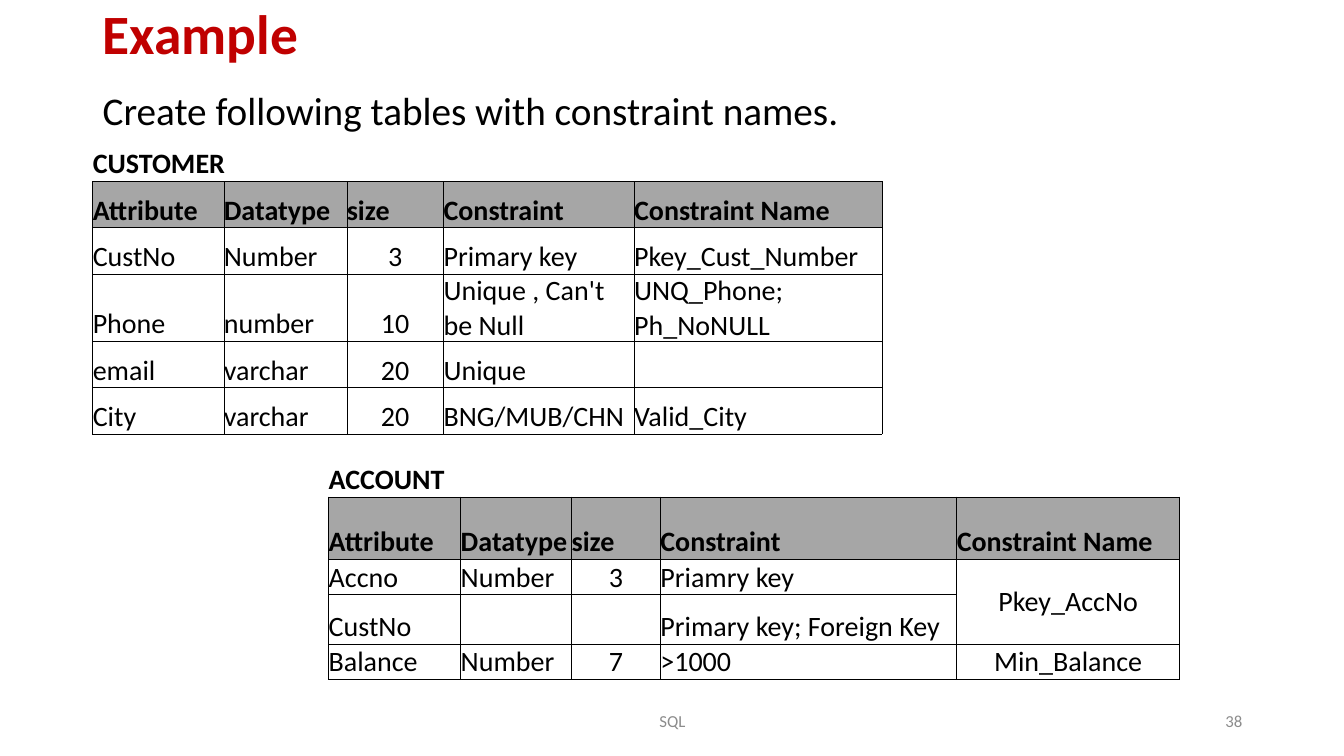
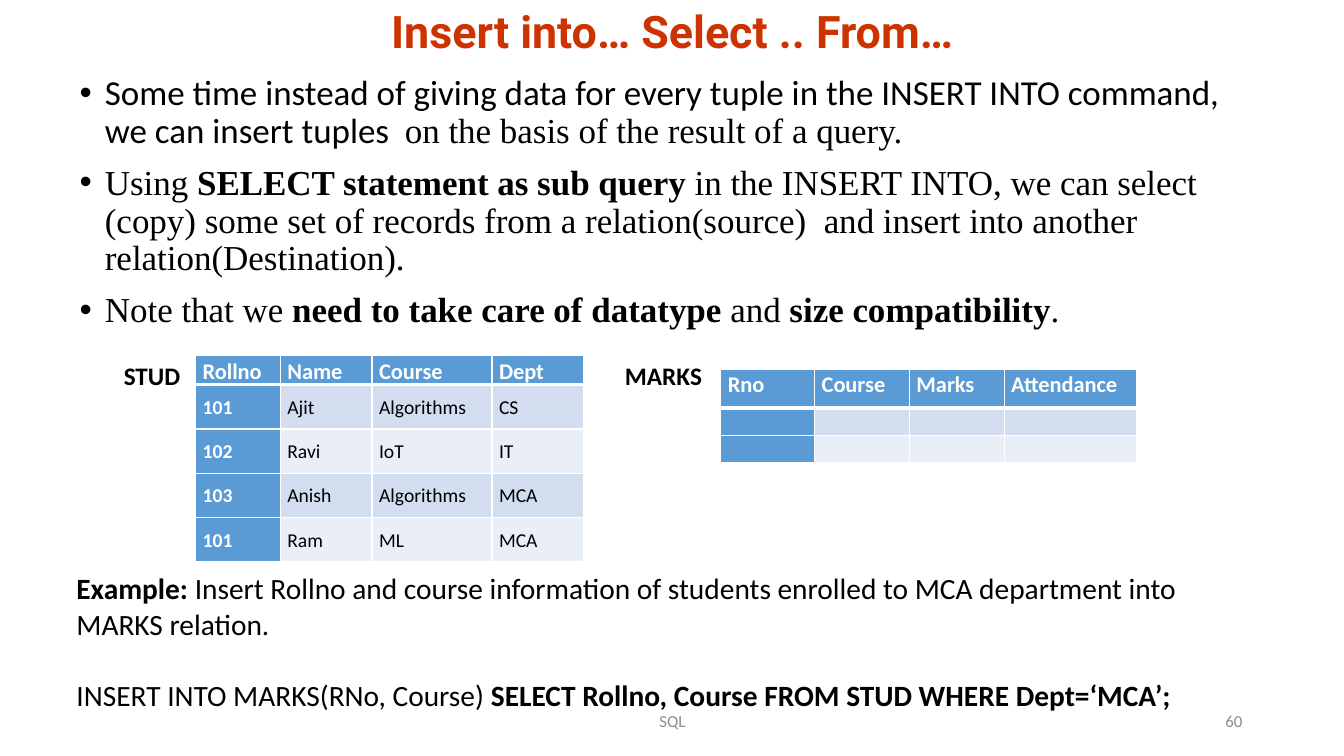
from dataclasses import dataclass

from lxml import etree
from pptx import Presentation
from pptx.dml.color import RGBColor
from pptx.enum.text import MSO_ANCHOR, MSO_AUTO_SIZE, PP_ALIGN
from pptx.oxml.ns import qn
from pptx.util import Inches, Pt

TOP, MIDDLE, BOTTOM = MSO_ANCHOR.TOP, MSO_ANCHOR.MIDDLE, MSO_ANCHOR.BOTTOM
LEFT, CENTER, RIGHT = PP_ALIGN.LEFT, PP_ALIGN.CENTER, PP_ALIGN.RIGHT
NO_FIT = MSO_AUTO_SIZE.NONE


@dataclass(frozen=True)
class Theme:
    sans: str = "Calibri"
    serif: str = "Times New Roman"
    display: str = "Roboto"
    black: str = "000000"
    white: str = "FFFFFF"
    red: str = "C00000"
    orange: str = "CC3300"
    footer: str = "8C8C8C"
    header_gray: str = "A6A6A6"
    header_blue: str = "5B9BD5"
    bands: tuple = ("D2DEEF", "EAEFF7")
    title_size: float = 39.6
    display_size: float = 32
    lead_size: float = 28
    list_size: float = 25
    example_size: float = 21
    grid_size: float = 20
    label_size: float = 18
    banded_header_size: float = 16
    banded_size: float = 14
    footer_size: float = 12


THEME = Theme()


def add_text(paragraph, text, size, color=THEME.black, bold=False, font=THEME.sans):
    if not text:
        paragraph._p.get_or_add_endParaRPr().set("sz", str(int(size * 100)))
        return
    run = paragraph.add_run()
    run.text = text
    run.font.size = Pt(size)
    run.font.bold = bold
    run.font.name = font
    run.font.color.rgb = RGBColor.from_string(color)


def add_box(slide, left, top, width, height, anchor=TOP, align=LEFT, wrap=True):
    box = slide.shapes.add_textbox(Inches(left), Inches(top), Inches(width), Inches(height))
    frame = box.text_frame
    frame.word_wrap = wrap
    frame.vertical_anchor = anchor
    frame.paragraphs[0].alignment = align
    return frame


presentation = Presentation()
presentation.slide_width = Inches(13.33)
presentation.slide_height = Inches(7.5)
constraints_slide = presentation.slides.add_slide(presentation.slide_layouts[5])
insert_slide = presentation.slides.add_slide(presentation.slide_layouts[1])

titles = [
    (constraints_slide, "Example", 0.11, 0.5, MIDDLE, LEFT, "38",
     dict(size=THEME.title_size, color=THEME.red)),
    (insert_slide, "Insert into… Select .. From…", -0.02, 0.65, BOTTOM, CENTER, "60",
     dict(size=THEME.display_size, color=THEME.orange, font=THEME.display)),
]
for slide, text, top, height, anchor, align, number, text_format in titles:
    title = slide.shapes.title
    title.left, title.top = Inches(0.92), Inches(top)
    title.width, title.height = Inches(11.5), Inches(height)
    title.text_frame.auto_size = NO_FIT
    title.text_frame.vertical_anchor = anchor
    paragraph = title.text_frame.paragraphs[0]
    paragraph.alignment = align
    paragraph.line_spacing = 0.9
    add_text(paragraph, text, bold=True, **text_format)
    for footer, left, width, footer_align in [("SQL", 4.42, 4.5, CENTER), (number, 9.42, 3, RIGHT)]:
        frame = add_box(slide, left, 6.95, width, 0.4, MIDDLE, footer_align)
        add_text(frame.paragraphs[0], footer, THEME.footer_size, THEME.footer)

lead = add_box(constraints_slide, 0.92, 0.81, 7.58, 0.57, wrap=False)
add_text(lead.paragraphs[0], "Create following tables with constraint names.", THEME.lead_size)

bullets = [
    [("Some time instead of giving data for every tuple in the INSERT INTO command, "
      "we can insert tuples  ", dict(font=THEME.sans)),
     ("on the basis of the result of a query.", {})],
    [("Using ", {}),
     ("SELECT statement as sub query ", dict(bold=True)),
     ("in the INSERT INTO, we can select (copy) some set of records from a "
      "relation(source)  and insert into another relation(Destination).", {})],
    [("Note that we ", {}),
     ("need to take care of datatype ", dict(bold=True)),
     ("and ", {}),
     ("size compatibility", dict(bold=True)),
     (".", {})],
]
body = insert_slide.placeholders[1]
body.left, body.top = Inches(0.69), Inches(0.7)
body.width, body.height = Inches(11.97), Inches(2.94)
body.text_frame.auto_size = NO_FIT
for index, runs in enumerate(bullets):
    paragraph = body.text_frame.add_paragraph() if index else body.text_frame.paragraphs[0]
    paragraph.line_spacing = 0.9
    paragraph.space_before = Pt(10)
    properties = paragraph._p.get_or_add_pPr()
    properties.set("marL", str(Inches(0.25)))
    properties.set("indent", str(-Inches(0.25)))
    for text, text_format in runs:
        add_text(paragraph, text, THEME.list_size, **{"font": THEME.serif, **text_format})

for label, left, width in [("STUD", 1.13, 0.79), ("MARKS", 6.1, 1.05)]:
    frame = add_box(insert_slide, left, 3.53, width, 0.4)
    add_text(frame.paragraphs[0], label, THEME.label_size, bold=True)

example = add_box(insert_slide, 0.66, 5.61, 11.2, 1.51)
task = example.paragraphs[0]
add_text(task, "Example:", THEME.example_size, bold=True)
add_text(task, " Insert Rollno and course information of students enrolled to MCA "
         "department into MARKS relation.", THEME.example_size)
statement = example.add_paragraph()
statement.space_before = Pt(25.5)
add_text(statement, "INSERT INTO MARKS(RNo, Course) ", THEME.example_size)
add_text(statement, "SELECT Rollno, Course FROM STUD WHERE Dept=‘MCA’;", THEME.example_size, bold=True)

schema_header = ["Attribute", "Datatype", "size", "Constraint", "Constraint Name"]
customer = [
    ["CUSTOMER", "", "", "", ""],
    schema_header,
    ["CustNo", "Number", "3", "Primary key", "Pkey_Cust_Number"],
    ["Phone", "number", "10", "Unique , Can't be Null", "UNQ_Phone; Ph_NoNULL"],
    ["email", "varchar", "20", "Unique", ""],
    ["City", "varchar", "20", "BNG/MUB/CHN", "Valid_City"],
]
account = [
    ["ACCOUNT", "", "", "", ""],
    schema_header,
    ["Accno", "Number", "3", "Priamry key", "Pkey_AccNo"],
    ["CustNo", "", "", "Primary key; Foreign Key", ""],
    ["Balance", "Number", "7", ">1000", "Min_Balance"],
]
students = [
    ["Rollno", "Name", "Course", "Dept"],
    ["101", "Ajit", "Algorithms", "CS"],
    ["102", "Ravi", "IoT", "IT"],
    ["103", "Anish", "Algorithms", "MCA"],
    ["101", "Ram", "ML", "MCA"],
]
marks = [["Rno", "Course", "Marks", "Attendance"], [""] * 4, [""] * 4]

caption_span = (0, 0, 0, 1)
grids = [
    (constraints_slide, customer, 0.92, 1.34, [1.3, 1.22, 0.96, 1.89, 2.46], [0.46] * 6,
     [caption_span], [2]),
    (constraints_slide, account, 3.26, 4.58, [1.31, 1.1, 0.88, 2.94, 2.21],
     [0.35, 0.62, 0.35, 0.49, 0.35], [caption_span, (2, 4, 3, 4)], [2, 4]),
    (insert_slide, students, 1.94, 3.53, [0.84, 0.91, 1.19, 0.91], [0.23] + [0.44] * 4, [], []),
    (insert_slide, marks, 7.15, 3.66, [0.93, 0.94, 0.94, 1.31], [0.39, 0.27, 0.27], [], []),
]
for slide, rows, left, top, widths, heights, spans, centered in grids:
    banded = slide is insert_slide
    table = slide.shapes.add_table(
        len(rows), len(widths), Inches(left), Inches(top),
        Inches(sum(widths)), Inches(sum(heights))).table
    table.first_row = table.horz_banding = False
    for column, width in zip(table.columns, widths):
        column.width = Inches(width)
    for row, height in zip(table.rows, heights):
        row.height = Inches(height)
    for first_row, first_column, last_row, last_column in spans:
        table.cell(first_row, first_column).merge(table.cell(last_row, last_column))

    for row_index, values in enumerate(rows):
        for column_index, text in enumerate(values):
            cell = table.cell(row_index, column_index)
            side_margin = Inches(0.07) if banded else 0
            cell.margin_left = cell.margin_right = side_margin
            cell.margin_top = cell.margin_bottom = 0
            paragraph = cell.text_frame.paragraphs[0]
            line_color = THEME.white if banded else THEME.black
            line_widths = dict.fromkeys(["lnL", "lnR", "lnT", "lnB"], 1 if banded else 0.5)
            if banded:
                header = row_index == 0
                key = header or column_index == 0
                fill = THEME.header_blue if key else THEME.bands[(row_index - 1) % 2]
                cell.vertical_anchor = TOP if header else MIDDLE
                paragraph.line_spacing = 1.07
                if header:
                    line_widths["lnB"] = 3
                elif row_index == 1:
                    line_widths["lnT"] = 3
                add_text(paragraph, text, THEME.banded_header_size if header else THEME.banded_size,
                         THEME.white if key else THEME.black, bold=key)
            else:
                fill = THEME.header_gray if row_index == 1 else None
                spans_rows = cell.is_merge_origin and row_index > 0
                cell.vertical_anchor = MIDDLE if spans_rows else BOTTOM
                if row_index > 1 and column_index in centered:
                    paragraph.alignment = CENTER
                if row_index == 0:
                    line_widths.update(lnL=0, lnR=0, lnT=0)
                add_text(paragraph, text, THEME.grid_size, bold=row_index < 2)

            for edge, line_width in line_widths.items():
                line = etree.SubElement(cell._tc.get_or_add_tcPr(), qn("a:" + edge), w=str(Pt(line_width)))
                if line_width:
                    solid = etree.SubElement(line, qn("a:solidFill"))
                    etree.SubElement(solid, qn("a:srgbClr"), val=line_color)
                else:
                    etree.SubElement(line, qn("a:noFill"))
            if fill:
                cell.fill.solid()
                cell.fill.fore_color.rgb = RGBColor.from_string(fill)
            else:
                cell.fill.background()

presentation.save("out.pptx")
